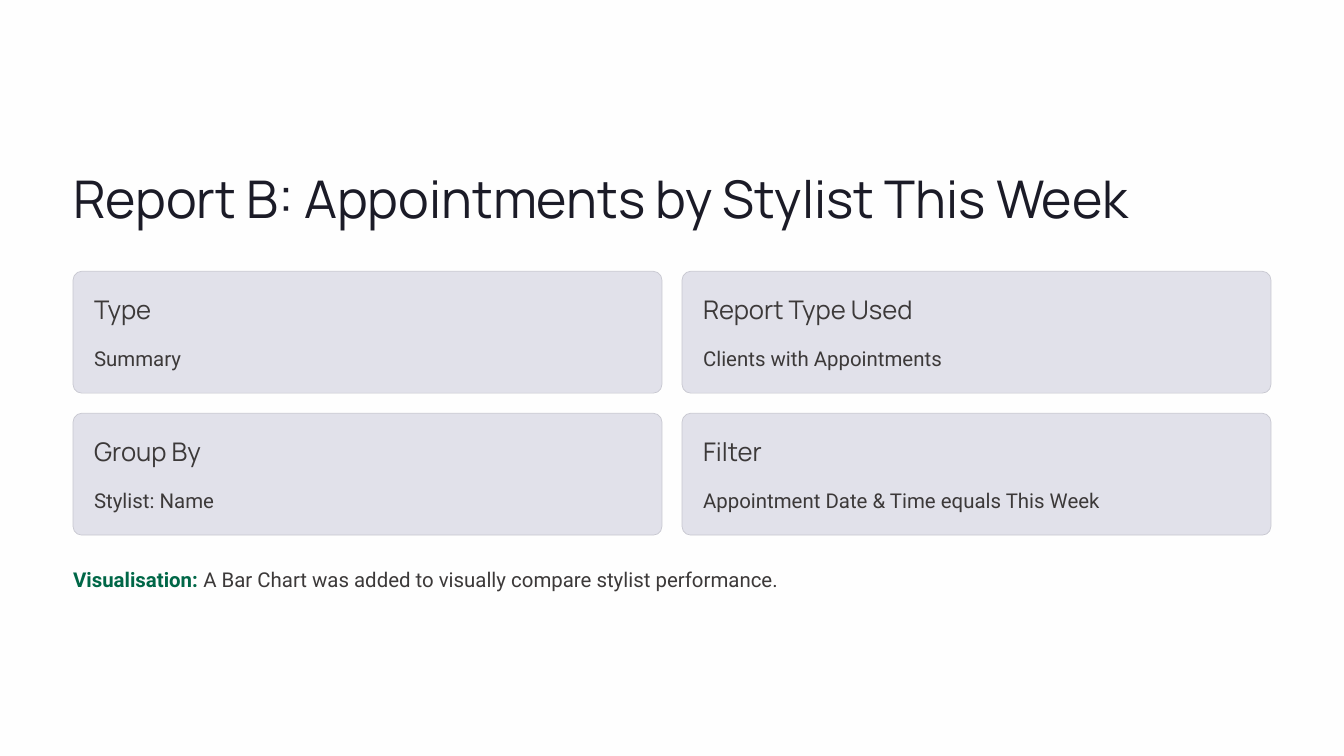
from pptx import Presentation
from pptx.dml.color import RGBColor
from pptx.enum.shapes import MSO_SHAPE
from pptx.enum.text import MSO_ANCHOR, MSO_AUTO_SIZE, PP_ALIGN
from pptx.util import Inches, Pt

ROUNDED = MSO_SHAPE.ROUNDED_RECTANGLE
TOP, LEFT, NO_FIT = MSO_ANCHOR.TOP, PP_ALIGN.LEFT, MSO_AUTO_SIZE.NONE

TITLE = "Report B: Appointments by Stylist This Week"
CARDS = [
    ("Type", "Summary"),
    ("Report Type Used", "Clients with Appointments"),
    ("Group By", "Stylist: Name"),
    ("Filter", "Appointment Date & Time equals This Week"),
]
NOTE_LABEL = "Visualisation:"
NOTE = " A Bar Chart was added to visually compare stylist performance."

BACKGROUND, CARD_FILL, CARD_LINE = "FEFEFE", "E1E1EA", "C7C7D0"
TITLE_COLOR, TEXT_COLOR, ACCENT = "1B1B27", "3C3939", "006747"
HEADING_FONT, BODY_FONT = "Manrope", "Roboto"

MARGIN, CARDS_TOP = 0.87, 3.23
CARD_W, CARD_H = 7.01, 1.45
COLUMN_STEP, ROW_STEP = 7.25, 1.69
PADDING = 0.25


def color(hex_code):
    return RGBColor.from_string(hex_code)


def style_text(box, line_pt, size, font_name, hex_code):
    frame = box.text_frame
    frame.margin_left = frame.margin_right = 0
    frame.margin_top = frame.margin_bottom = 0
    frame.vertical_anchor = TOP
    frame.auto_size = NO_FIT
    frame.word_wrap = False
    paragraph = frame.paragraphs[0]
    paragraph.alignment = LEFT
    paragraph.line_spacing = Pt(line_pt)
    paragraph.space_before = Pt(0)
    for run in paragraph.runs:
        run.font.size = Pt(size)
        run.font.name = font_name
        run.font.color.rgb = color(hex_code)


def add_text(slide, x, y, w, h, text):
    box = slide.shapes.add_textbox(Inches(x), Inches(y), Inches(w), Inches(h))
    box.text_frame.text = text
    return box


def add_card(slide, x, y, heading, detail):
    card = slide.shapes.add_shape(
        ROUNDED, Inches(x), Inches(y), Inches(CARD_W), Inches(CARD_H))
    card.adjustments[0] = 0.07
    card.shadow.inherit = False
    card.fill.solid()
    card.fill.fore_color.rgb = color(CARD_FILL)
    card.line.color.rgb = color(CARD_LINE)
    card.line.width = Pt(0.6)
    heading_box = add_text(slide, x + PADDING, y + 0.25, 3.1, 0.39, heading)
    style_text(heading_box, 27.5, 22, HEADING_FONT, TEXT_COLOR)
    detail_box = add_text(slide, x + PADDING, y + 0.79, 6.5, 0.4, detail)
    style_text(detail_box, 28.5, 17.5, BODY_FONT, TEXT_COLOR)


def main():
    prs = Presentation()
    prs.slide_width, prs.slide_height = Inches(16), Inches(9)
    slide = prs.slides.add_slide(prs.slide_layouts.get_by_name("Title Only"))
    slide.background.fill.solid()
    slide.background.fill.fore_color.rgb = color(BACKGROUND)

    title = slide.shapes.title
    title.left, title.top = Inches(MARGIN), Inches(1.96)
    title.width, title.height = Inches(12.66), Inches(0.78)
    title.text_frame.text = TITLE
    style_text(title, 55.5, 44.5, HEADING_FONT, TITLE_COLOR)

    for index, (heading, detail) in enumerate(CARDS):
        row, column = divmod(index, 2)
        add_card(slide, MARGIN + column * COLUMN_STEP,
                 CARDS_TOP + row * ROW_STEP, heading, detail)

    note = add_text(slide, MARGIN, 6.65, 14.26, 0.4, NOTE_LABEL)
    note.text_frame.paragraphs[0].add_run().text = NOTE
    style_text(note, 28.5, 17.5, BODY_FONT, TEXT_COLOR)
    label = note.text_frame.paragraphs[0].runs[0]
    label.font.bold = True
    label.font.color.rgb = color(ACCENT)

    prs.save("out.pptx")


if __name__ == "__main__":
    main()
